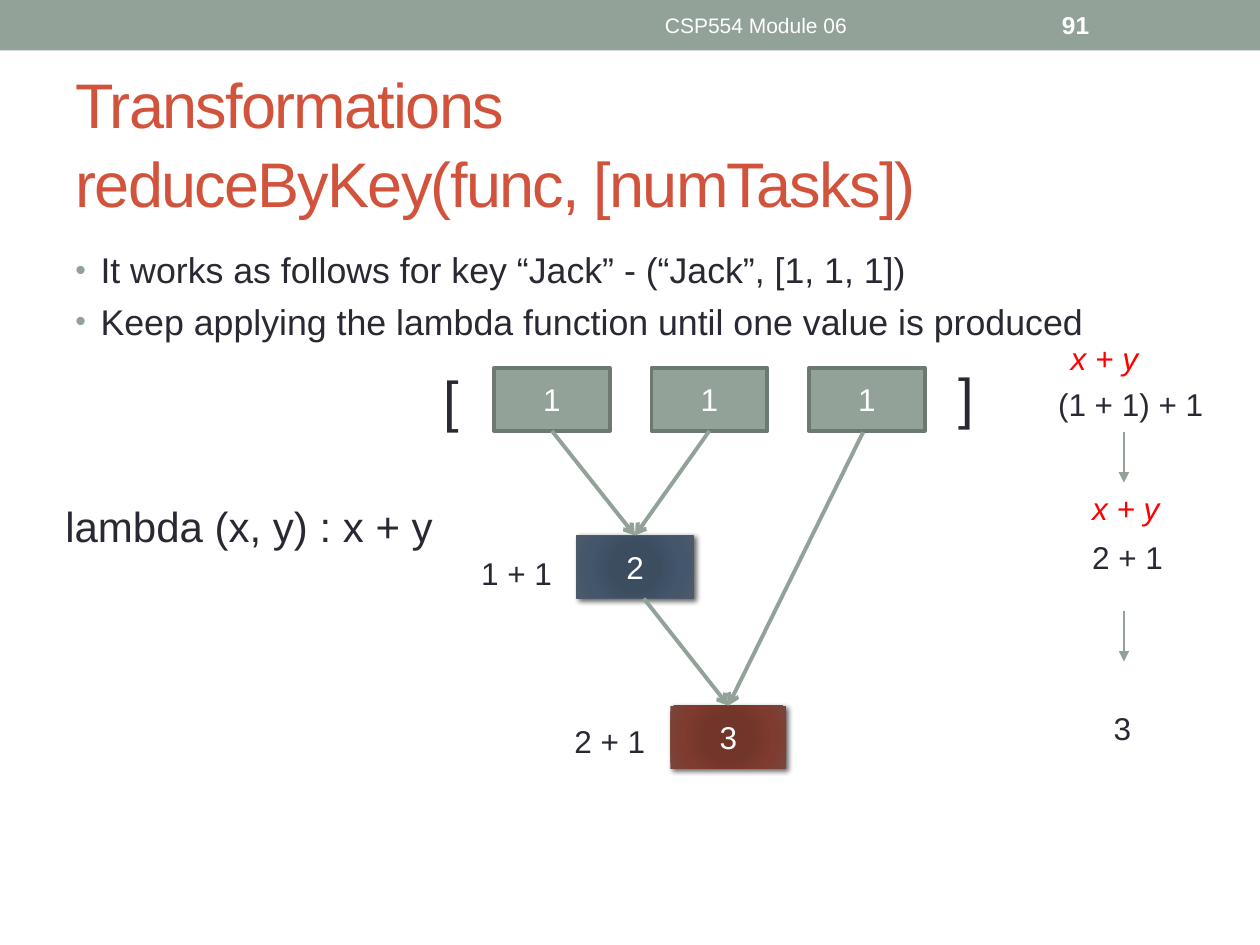
from typing import NamedTuple, Optional

from lxml.etree import SubElement
from pptx import Presentation
from pptx.dml.color import RGBColor
from pptx.enum.shapes import MSO_CONNECTOR, MSO_SHAPE
from pptx.enum.text import MSO_ANCHOR, MSO_AUTO_SIZE, PP_ALIGN
from pptx.oxml import parse_xml
from pptx.oxml.ns import nsdecls, qn
from pptx.util import Inches, Pt

COLORS = {"sage": "93A299", "sage_dark": "6D7871", "title": "D2533C",
          "ink": "292934", "white": "FFFFFF", "red": "FF0000", "slate": "4C5A6A"}
BLUE_STOPS = ((0, "3B4D61"), (34, "3C4D60"), (70, "43566B"), (100, "4C5A6A"))
RED_STOPS = ((0, "743327"), (34, "72352A"), (70, "7F3B2F"), (100, "79463D"))
BOX_W, BOX_H = 0.92, 0.5


class ValueBox(NamedTuple):
    value: str
    left: float
    top: float
    outline: Optional[str] = None
    outline_pt: float = 0
    stops: tuple = ()


class Label(NamedTuple):
    text: str
    left: float
    top: float
    width: float
    height: float = 0.4
    size: float = 18
    formula: str = ""


def rgb(name: str) -> RGBColor:
    return RGBColor.from_string(COLORS[name])


def add_run(paragraph, text: str, size: float, color: str = "ink",
            bold: bool = False, italic: bool = False):
    run = paragraph.add_run()
    run.text = text
    font = run.font
    font.name, font.size, font.bold, font.italic = "Arial", Pt(size), bold, italic
    font.color.rgb = rgb(color)
    return run


def add_rect(left: float, top: float, width: float, height: float):
    rect = slide.shapes.add_shape(MSO_SHAPE.RECTANGLE, Inches(left), Inches(top),
                                  Inches(width), Inches(height))
    rect.shadow.inherit = False
    rect.fill.solid()
    rect.fill.fore_color.rgb = rgb("sage")
    rect.line.fill.background()
    return rect


def add_text_area(left: float, top: float, width: float, height: float,
                  wrap: bool = True):
    area = slide.shapes.add_textbox(Inches(left), Inches(top),
                                    Inches(width), Inches(height)).text_frame
    area.word_wrap = wrap
    return area


def add_glow(box, stops: tuple) -> None:
    """Radial gradient and drop shadow, neither of which has a public method."""
    properties = box._element.spPr
    marks = "".join(f'<a:gs pos="{position * 1000}"><a:srgbClr val="{color}"/></a:gs>'
                    for position, color in stops)
    gradient = parse_xml(
        f'<a:gradFill {nsdecls("a")} rotWithShape="1"><a:gsLst>{marks}</a:gsLst>'
        '<a:path path="circle"><a:fillToRect l="100000" t="100000" r="100000" '
        'b="100000"/></a:path></a:gradFill>')
    properties.replace(properties.find(qn("a:solidFill")), gradient)
    shadow = parse_xml(
        f'<a:outerShdw {nsdecls("a")} blurRad="{Pt(3)}" dist="{Pt(2)}" dir="2700000" '
        'rotWithShape="0"><a:srgbClr val="000000"><a:alpha val="60000"/></a:srgbClr>'
        '</a:outerShdw>')
    properties.find(qn("a:effectLst")).append(shadow)


def add_value_box(spec_box: ValueBox):
    box = add_rect(spec_box.left, spec_box.top, BOX_W, BOX_H)
    if spec_box.outline:
        box.line.color.rgb = rgb(spec_box.outline)
        box.line.width = Pt(spec_box.outline_pt)
    if spec_box.stops:
        add_glow(box, spec_box.stops)
    box.text_frame.vertical_anchor = MSO_ANCHOR.MIDDLE
    paragraph = box.text_frame.paragraphs[0]
    paragraph.alignment = PP_ALIGN.CENTER
    add_run(paragraph, spec_box.value, 18, "white")
    return box


def add_label(label: Label) -> None:
    frame = add_text_area(label.left, label.top, label.width, label.height, wrap=False)
    frame.auto_size = MSO_AUTO_SIZE.SHAPE_TO_FIT_TEXT
    add_run(frame.paragraphs[0], label.text, label.size)
    if label.formula:
        add_run(frame.paragraphs[0], label.formula, label.size, "red", italic=True)


def add_arrow(start: tuple, end: tuple, width: float = 2.25, head: str = "arrow",
              source=None, target=None) -> None:
    arrow = slide.shapes.add_connector(MSO_CONNECTOR.STRAIGHT,
                                       *(Inches(value) for value in start + end))
    if source is not None:
        arrow.begin_connect(source, 2)
    if target is not None:
        arrow.end_connect(target, 0)
    arrow.line.color.rgb = rgb("sage")
    arrow.line.width = Pt(width)
    SubElement(arrow.line._get_or_add_ln(), qn("a:tailEnd"), type=head)
    SubElement(arrow._element.spPr, qn("a:effectLst"))


prs = Presentation()
prs.slide_width, prs.slide_height = Inches(10), Inches(7.5)
slide = prs.slides.add_slide(prs.slide_layouts[5])

# Header band with module name and page number
add_rect(0, 0, 10, 0.4)
module = add_text_area(3.75, 0.02, 4.5, 0.36)
page = add_text_area(8.33, 0.02, 1.17, 0.36)
module.vertical_anchor = page.vertical_anchor = MSO_ANCHOR.MIDDLE
module.paragraphs[0].alignment = PP_ALIGN.CENTER
add_run(module.paragraphs[0], "CSP554 Module 06", 12, "white")
add_run(page.paragraphs[0], "91", 14, "white", bold=True)

# Title
title = slide.shapes.title
title.left, title.top = Inches(0.5), Inches(0.58)
title.width, title.height = Inches(9), Inches(1.08)
title.text_frame.auto_size = MSO_AUTO_SIZE.NONE
title.text_frame.vertical_anchor = MSO_ANCHOR.MIDDLE
heading = title.text_frame.paragraphs[0]
heading.alignment = PP_ALIGN.LEFT
heading.line_spacing = 1.05
for index, line in enumerate(("Transformations", "reduceByKey(func, [numTasks])")):
    if index:
        heading.add_line_break()
        SubElement(heading._p.find(qn("a:br")), qn("a:rPr"), sz="3600")
    add_run(heading, line, 36, "title")._r.get_or_add_rPr().set("spc", "-100")

# Bullets
body = add_text_area(0.5, 1.92, 9, 0.75)
for index, point in enumerate((
        "It works as follows for key “Jack” - (“Jack”, [1, 1, 1])",
        "Keep applying the lambda function until one value is produced")):
    paragraph = body.add_paragraph() if index else body.paragraphs[0]
    paragraph.space_before = Pt(4.8)
    add_run(paragraph, point, 20.4)
    settings = paragraph._p.get_or_add_pPr()
    settings.set("marL", str(Inches(0.2)))
    settings.set("indent", str(-Inches(0.2)))
    SubElement(SubElement(settings, qn("a:buClr")), qn("a:srgbClr"), val=COLORS["sage"])
    SubElement(settings, qn("a:buSzPct"), val="85000")
    SubElement(settings, qn("a:buFont"), typeface="Arial")
    SubElement(settings, qn("a:buChar"), char="•")

# Reduction tree
ones = [add_value_box(ValueBox("1", 3.92 + 1.25 * column, 2.92, "sage_dark", 2.08))
        for column in range(3)]
two = add_value_box(ValueBox("2", 4.58, 4.25, "slate", 0.75, BLUE_STOPS))
three = add_value_box(ValueBox("3", 5.32, 5.6, stops=RED_STOPS))
add_arrow((4.38, 3.42), (5.04, 4.25), source=ones[0], target=two)
add_arrow((5.63, 3.42), (5.04, 4.25), source=ones[1], target=two)
add_arrow((5.11, 4.75), (5.78, 5.6), target=three)
add_arrow((6.85, 3.43), (5.78, 5.6), target=three)

# Brackets, lambda, and the worked steps
for label in (
        Label("[", 3.42, 2.85, 0.33, 0.64, 32),
        Label("]", 7.51, 2.83, 0.33, 0.64, 32),
        Label("1 + 1", 3.72, 4.35, 0.77),
        Label("2 + 1", 4.46, 5.68, 0.77),
        Label("lambda (x, y) : x + y", 0.42, 3.92, 3.15, 0.5, 24),
        Label(" 2 + 1", 8.5, 4.22, 0.84),
        Label(" 3", 8.67, 5.58, 0.41),
        Label(" (1 + 1) + 1", 8.23, 3.01, 1.44),
        Label(" ", 8.33, 2.64, 0.81, formula="x + y"),
        Label(" ", 8.5, 3.83, 0.81, formula="x + y")):
    add_label(label)
for top in (3.43, 4.85):
    add_arrow((8.92, top), (8.92, top + 0.4), 0.75, "triangle")

prs.save("out.pptx")
